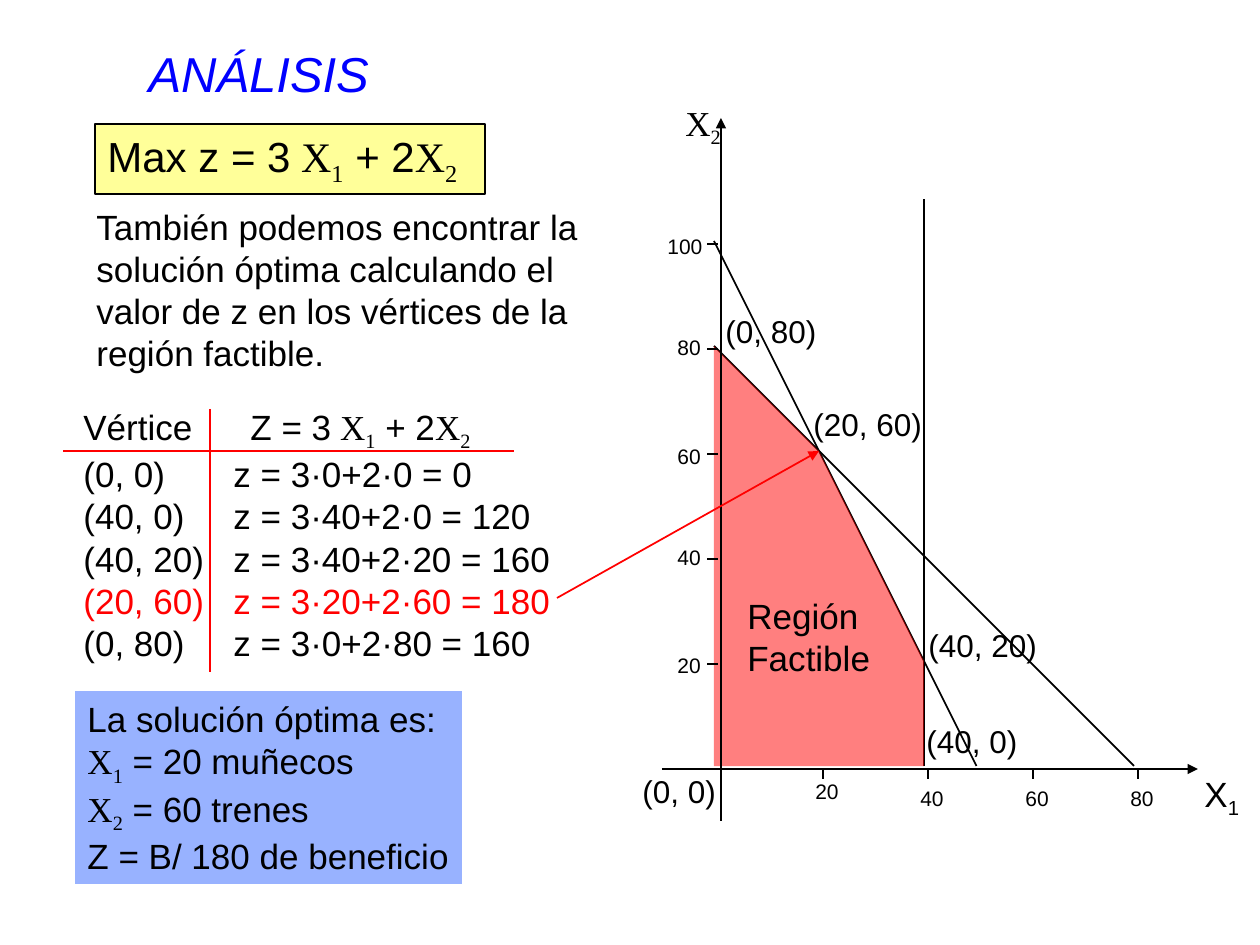
"""Build a slide that finds the optimum of a linear programme at the vertices of its feasible region."""
from lxml import etree
from pptx import Presentation
from pptx import util as u
from pptx.dml.color import RGBColor
from pptx.enum import shapes, text
from pptx.oxml import ns

THEME = {
    "black": "000000", "red": "FF0000", "title": "0000FF",
    "goal": "FFFF99", "region": "FF0000", "answer": "3366FF",
    "sans": "Arial", "serif": "Times New Roman",
    "title_size": 28, "goal_size": 24, "body_size": 20,
    "vertex_size": 18, "tick_size": 12, "line": 1,
}
SCALE = 914400 / 126

PLAIN = ("sans", "black", False)
SUB = ("sans", "black", True)
SERIF = ("serif", "black", False)
SERIF_SUB = ("serif", "black", True)
RED = ("sans", "red", False)


def variable(index, lead=""):
    return [(lead + "X", SERIF), (index, SERIF_SUB)]


def goal_line(start):
    return [(start, PLAIN), *variable("1", " "), (" + 2", PLAIN), *variable("2")]


TITLE = "ANÁLISIS"
GOAL = [goal_line("Max z = 3")]
INTRO = [[("También podemos encontrar la solución óptima calculando el valor de z "
           "en los vértices de la región factible.", PLAIN)]]
EVALUATIONS = [
    ("(0, 0)", "z = 3·0+2·0 = 0", PLAIN),
    ("(40, 0)", "z = 3·40+2·0 = 120", PLAIN),
    ("(40, 20)", "z = 3·40+2·20 = 160", PLAIN),
    ("(20, 60)", "z = 3·20+2·60 = 180", RED),
    ("(0, 80)", "z = 3·0+2·80 = 160", PLAIN),
]
ANSWER = [
    [("La solución óptima es:", PLAIN)],
    [*variable("1"), (" = 20 muñecos", PLAIN)],
    [*variable("2"), (" = 60 trenes", PLAIN)],
    [("Z = B/ 180 de beneficio", PLAIN)],
]
REGION_LABEL = [[("Región", PLAIN)], [("Factible", PLAIN)]]
CONSTRAINTS = [((50, 0), (0, 100)), ((80, 0), (0, 80)), ((40, 0), (40, 108))]
VERTICES = [(0, 0), (0, 80), (20, 60), (40, 20), (40, 0)]
OPTIMUM = (20, 60)
VERTEX_LABELS = [
    ("(0, 80)", 713, 306, 119),
    ("(20, 60)", 801, 399, 137),
    ("(40, 20)", 916, 620, 137),
    ("(40, 0)", 914, 716, 119),
    ("(0, 0)", 630, 766, 102),
]
X_TICKS = [("20", 772), ("40", 779), ("60", 779), ("80", 779)]
Y_TICKS = [("20", 665, 646), ("40", 665, 538), ("60", 665, 437),
           ("80", 665, 328), ("100", 655, 227)]
TICK_LABEL = (64, 38)
STEP = 105
ORIGIN = (714, 766)
AXIS_X, AXIS_Y = 721, 769


def px(value):
    return u.Emu(round(value * SCALE))


def color(name):
    return RGBColor.from_string(THEME[name])


def plot(point):
    return (ORIGIN[0] + point[0] * STEP / 20, ORIGIN[1] - point[1] * STEP / 20)


def add_line(page, start, end, tone="black", arrow=False):
    line = page.shapes.add_connector(
        shapes.MSO_CONNECTOR.STRAIGHT, *map(px, (*start, *end)))
    line.line.color.rgb = color(tone)
    line.line.width = u.Pt(THEME["line"])
    if arrow:
        etree.SubElement(line.line._get_or_add_ln(), ns.qn("a:tailEnd"), type="triangle")
    etree.SubElement(line._element.spPr, ns.qn("a:effectLst"))


def fill_shape(shape, tone, alpha=100):
    shape.shadow.inherit = False
    shape.fill.solid()
    shape.fill.fore_color.rgb = color(tone)
    shape.line.fill.background()
    if alpha < 100:
        tint = shape._element.spPr.find(ns.qn("a:solidFill"))[0]
        etree.SubElement(tint, ns.qn("a:alpha"), val=str(alpha * 1000))


def write(box, lines, size, wrap=False, tabs=()):
    frame = box.text_frame
    frame.word_wrap = wrap
    frame.auto_size = text.MSO_AUTO_SIZE.NONE
    frame.vertical_anchor = text.MSO_ANCHOR.TOP
    for number, line in enumerate(lines):
        para = frame.add_paragraph() if number else frame.paragraphs[0]
        para.alignment = text.PP_ALIGN.LEFT
        if tabs:
            stops = etree.SubElement(para._p.get_or_add_pPr(), ns.qn("a:tabLst"))
            etree.SubElement(stops, ns.qn("a:tab"), pos=str(px(tabs[number])), algn="l")
        for words, (face, tone, lowered) in line:
            span = para.add_run()
            span.text = words
            span.font.name = THEME[face]
            span.font.size = u.Pt(THEME[size])
            span.font.color.rgb = color(tone)
            if lowered:
                span.font._element.set("baseline", "-25000")


def add_text(page, place, lines, size, tabs=()):
    box = page.shapes.add_textbox(*map(px, place))
    write(box, lines, size, wrap=True, tabs=tabs)


def add_panel(page, place, tone, alpha=100):
    panel = page.shapes.add_shape(shapes.MSO_SHAPE.RECTANGLE, *map(px, place))
    fill_shape(panel, tone, alpha)
    return panel


def add_title(page):
    title = page.shapes.title
    title.left, title.top, title.width, title.height = map(px, (136, 34, 1071, 78))
    frame = title.text_frame
    frame.text = TITLE
    frame.auto_size = text.MSO_AUTO_SIZE.NONE
    frame.vertical_anchor = text.MSO_ANCHOR.MIDDLE
    para = frame.paragraphs[0]
    para.alignment = text.PP_ALIGN.LEFT
    font = para.runs[0].font
    font.name, font.size, font.italic = THEME["sans"], u.Pt(THEME["title_size"]), True
    font.color.rgb = color("title")


def add_graph(page):
    for start, end in CONSTRAINTS:
        add_line(page, plot(start), plot(end))
    corners = [tuple(map(px, plot(vertex))) for vertex in VERTICES]
    outline = page.shapes.build_freeform(*corners[0])
    outline.add_line_segments(corners[1:], close=True)
    fill_shape(outline.convert_to_shape(), "region", 50)
    add_text(page, (735, 588, 152, 97), REGION_LABEL, "body_size")
    for label, left, top, width in VERTEX_LABELS:
        add_text(page, (left, top, width, 50), [[(label, PLAIN)]], "vertex_size")
    add_line(page, (AXIS_X, 821), (AXIS_X, 118), arrow=True)
    add_line(page, (662, AXIS_Y), (1198, AXIS_Y), arrow=True)
    for count, (label, top) in enumerate(X_TICKS, 1):
        x = 718 + STEP * count
        add_line(page, (x, AXIS_Y), (x, AXIS_Y + 10))
        add_text(page, (x - 20, top, *TICK_LABEL), [[(label, PLAIN)]], "tick_size")
    for count, (label, left, top) in enumerate(Y_TICKS, 1):
        y = AXIS_Y - STEP * count
        add_line(page, (718, y), (707, y))
        add_text(page, (left, top, *TICK_LABEL), [[(label, PLAIN)]], "tick_size")
    add_text(page, (673, 95, 66, 60), [variable("2")], "body_size")
    add_text(page, (1192, 766, 66, 60), [[("X", PLAIN), ("1", SUB)]], "body_size")


def add_evaluations(page):
    rows = [goal_line("Vértice\tZ = 3")]
    rows += [[(f"{vertex}\t{value}", style)] for vertex, value, style in EVALUATIONS]
    tabs = [167] + [150] * len(EVALUATIONS)
    add_text(page, (71, 399, 510, 271), rows, "body_size", tabs=tabs)
    add_line(page, (63, 451), (514, 451), "red")
    add_line(page, (210, 409), (210, 672), "red")


def main():
    deck = Presentation()
    deck.slide_width, deck.slide_height = px(1260), px(945)
    page = deck.slides.add_slide(deck.slide_layouts[5])
    add_title(page)
    add_graph(page)
    goal = add_panel(page, (95, 124, 390, 70), "goal")
    goal.line.color.rgb = color("black")
    goal.line.width = u.Pt(THEME["line"])
    write(goal, GOAL, "goal_size", wrap=True)
    add_text(page, (84, 199, 525, 181), INTRO, "body_size")
    add_evaluations(page)
    answer = add_panel(page, (75, 691, 387, 193), "answer", 50)
    write(answer, ANSWER, "body_size")
    add_line(page, (557, 598), plot(OPTIMUM), "red", arrow=True)
    deck.save("out.pptx")


if __name__ == "__main__":
    main()
